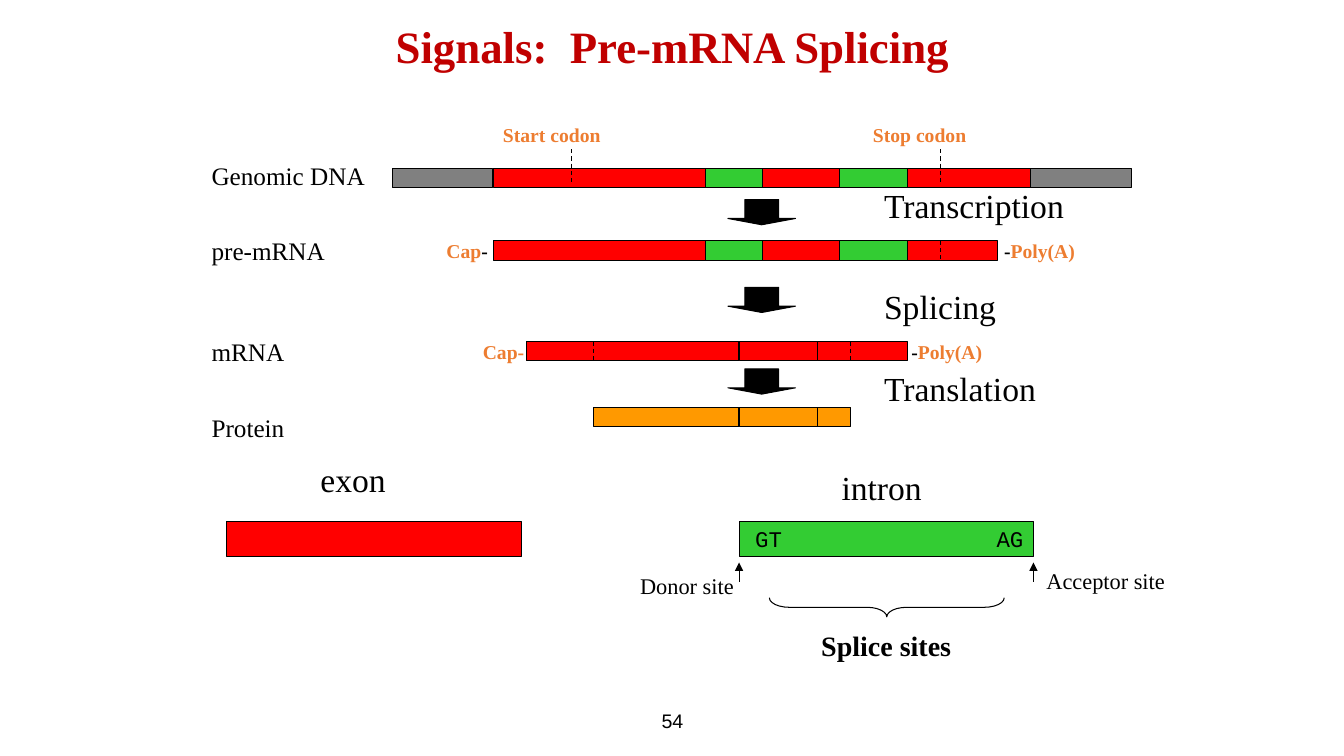
from itertools import pairwise

from lxml import etree
from pptx import Presentation
from pptx import util as u
from pptx.dml.color import RGBColor
from pptx.enum import dml, shapes, text
from pptx.oxml.ns import qn

PX = 9144  # EMU: 100 px to the inch
SIZE = (1333, 750)
HUES = {"black": "000000", "title": "C00000", "mark": "ED7D31", "exon": "FF0000",
        "intron": "33CC33", "flank": "808080", "protein": "FF9900"}
SERIF, MONO, SANS = "Times New Roman", "Courier New", "Arial"
LEFT, MID = text.PP_ALIGN.LEFT, text.PP_ALIGN.CENTER
DASH = dml.MSO_LINE.DASH

TITLE = "Signals:  Pre-mRNA Splicing"
TITLE_AT = (242, -17, 850, 125)
PAGE = "54"
PAGE_AT = (442, 695, 450, 40)

# Each bar: top, edges from left to right, kinds between the edges
BAR_H = 19
BARS = [
    (167, [389, 489, 700, 756, 833, 900, 1022, 1122],
     ["flank", "exon", "intron", "exon", "intron", "exon", "flank"]),
    (239, [489, 700, 756, 833, 900, 989],
     ["exon", "intron", "exon", "intron", "exon"]),
    (339, [522, 733, 811, 900], ["exon"] * 3),
    (404, [589, 733, 811, 844], ["protein"] * 3),
]
# Dashed marks: x, top, bottom
MARKS = [(567, 148, 183), (933, 148, 183), (933, 239, 258),
         (589, 339, 358), (844, 339, 358)]

STAGES = [("Genomic DNA", 154), ("pre-mRNA", 229), ("mRNA", 329), ("Protein", 404)]
# Each step: name, top of name, top of arrow
STEPS = [("Transcription", 179, 198), ("Splicing", 279, 285), ("Translation", 360, 366)]

# Small bold labels: place, runs with their colours
TAGS = [
    ((489, 117, 178, 33), [("Start codon", "mark")]),
    ((856, 117, 178, 33), [("Stop codon", "mark")]),
    ((433, 232, 89, 33), [("Cap", "mark"), ("-", "black")]),
    ((986, 232, 122, 33), [("-", "black"), ("Poly(A)", "mark")]),
    ((469, 332, 89, 33), [("Cap-", "mark")]),
    ((894, 332, 122, 33), [("-", "black"), ("Poly(A)", "mark")]),
]

EXON_AT = (225, 517, 292, 35)
INTRON_AT = (733, 517, 292, 35)
SITES = "GT\tAG"
# Legend labels: words, place, size, alignment, bold
LEGEND = [
    ("exon", (308, 450, 125, 50), 24, LEFT, False),
    ("intron", (808, 458, 133, 50), 24, MID, False),
    ("Splice sites", (779, 619, 200, 43), 20, MID, True),
    ("Donor site", (625, 563, 178, 37), 16, LEFT, False),
    ("Acceptor site", (1028, 558, 139, 37), 16, LEFT, False),
]
BRACE_AT = (870, 486, 19, 233)

prs = Presentation()
prs.slide_width, prs.slide_height = (n * PX for n in SIZE)
slide = prs.slides.add_slide(prs.slide_layouts[5])


def emu(*nums):
    return [n * PX for n in nums]


def hue(name):
    return RGBColor.from_string(HUES[name])


def style(font, size, name="black", face=SERIF, bold=False):
    font.size, font.name, font.bold = u.Pt(size), face, bold
    font.color.rgb = hue(name)


def label(at, runs, size, align=LEFT, bold=False, face=SERIF):
    """Add a text box whose runs are (words, colour) pairs."""
    frame = slide.shapes.add_textbox(*emu(*at)).text_frame
    frame.word_wrap = True
    para = frame.paragraphs[0]
    para.alignment = align
    for words, name in runs:
        run = para.add_run()
        run.text = words
        style(run.font, size, name, face, bold)
    return frame


def block(kind, at, fill=None):
    """Add a preset shape with a thin black outline."""
    item = slide.shapes.add_shape(kind, *emu(*at))
    item.shadow.inherit = False
    if fill:
        item.fill.solid()
        item.fill.fore_color.rgb = hue(fill)
    else:
        item.fill.background()
    item.line.color.rgb = hue("black")
    item.line.width = u.Pt(0.75)
    return item


def rule(x, start, end, dash=None, head=False):
    """Add a vertical line, with an arrowhead at its end if asked."""
    item = slide.shapes.add_connector(
        shapes.MSO_CONNECTOR.STRAIGHT, *emu(x, start, x, end))
    item.line.color.rgb = hue("black")
    item.line.width = u.Pt(0.75)
    if dash:
        item.line.dash_style = dash
    props = item._element.spPr
    if head:
        etree.SubElement(props.find(qn("a:ln")), qn("a:tailEnd"), type="triangle")
    etree.SubElement(props, qn("a:effectLst"))


def add_title():
    title = slide.shapes.title
    title.left, title.top, title.width, title.height = emu(*TITLE_AT)
    frame = title.text_frame
    frame.text = TITLE
    frame.auto_size = text.MSO_AUTO_SIZE.NONE
    frame.vertical_anchor = text.MSO_ANCHOR.MIDDLE
    para = frame.paragraphs[0]
    para.alignment = MID
    style(para.runs[0].font, 32, "title", bold=True)


def add_flow():
    rect, arrow = shapes.MSO_SHAPE.RECTANGLE, shapes.MSO_SHAPE.DOWN_ARROW
    for top, edges, kinds in BARS:
        for (left, right), kind in zip(pairwise(edges), kinds):
            block(rect, (left, top, right - left, BAR_H), kind)
    for mark in MARKS:
        rule(*mark, dash=DASH)
    for name, top in STAGES:
        label((200, top, 189, 40), [(name, "black")], 18)
    for name, top, tip in STEPS:
        label((867, top, 256, 50), [(name, "black")], 24)
        item = block(arrow, (722, tip, 67, 25), "black")
        item.adjustments[0], item.adjustments[1] = 0.5, 0.25
    for at, runs in TAGS:
        label(at, runs, 14, bold=True)


def add_legend():
    rect = shapes.MSO_SHAPE.RECTANGLE
    block(rect, EXON_AT, "exon")
    frame = block(rect, INTRON_AT, "intron").text_frame
    frame.vertical_anchor = text.MSO_ANCHOR.MIDDLE
    frame.margin_left, frame.margin_right = emu(16, 5)
    para = frame.paragraphs[0]
    para.text = SITES
    para.alignment = LEFT
    tabs = etree.SubElement(para._p.get_or_add_pPr(), qn("a:tabLst"))
    etree.SubElement(tabs, qn("a:tab"), pos=str(266 * PX), algn="r")
    for run in para.runs:
        style(run.font, 16, face=MONO)

    left, _, width, _ = INTRON_AT
    for x in (left, left + width):
        rule(x, 577, 558, head=True)
    for words, at, size, align, bold in LEGEND:
        label(at, [(words, "black")], size, align, bold)
    brace = block(shapes.MSO_SHAPE.RIGHT_BRACE, BRACE_AT)
    brace.rotation = 90
    brace.adjustments[0], brace.adjustments[1] = 1.04, 0.5


add_title()
add_flow()
add_legend()
page = label(PAGE_AT, [(PAGE, "black")], 14, MID, face=SANS)
page.vertical_anchor = text.MSO_ANCHOR.MIDDLE
prs.save("out.pptx")
